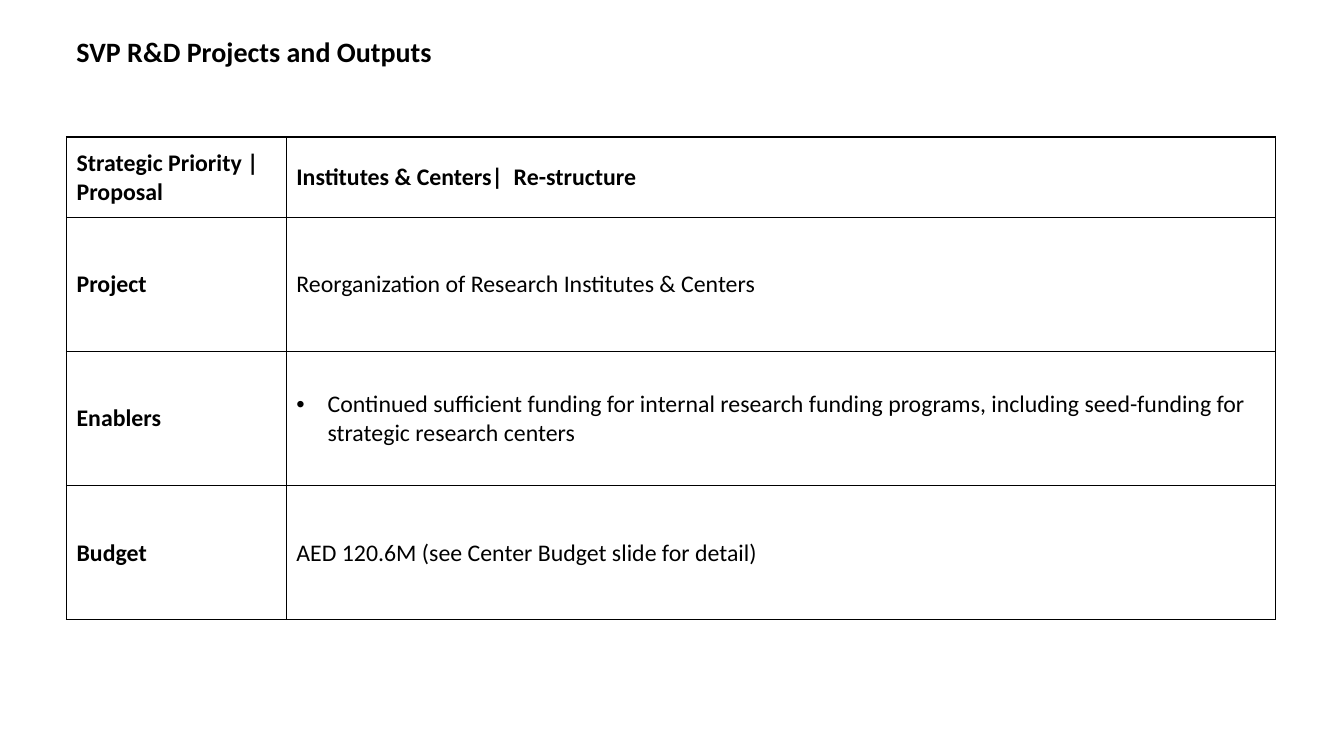
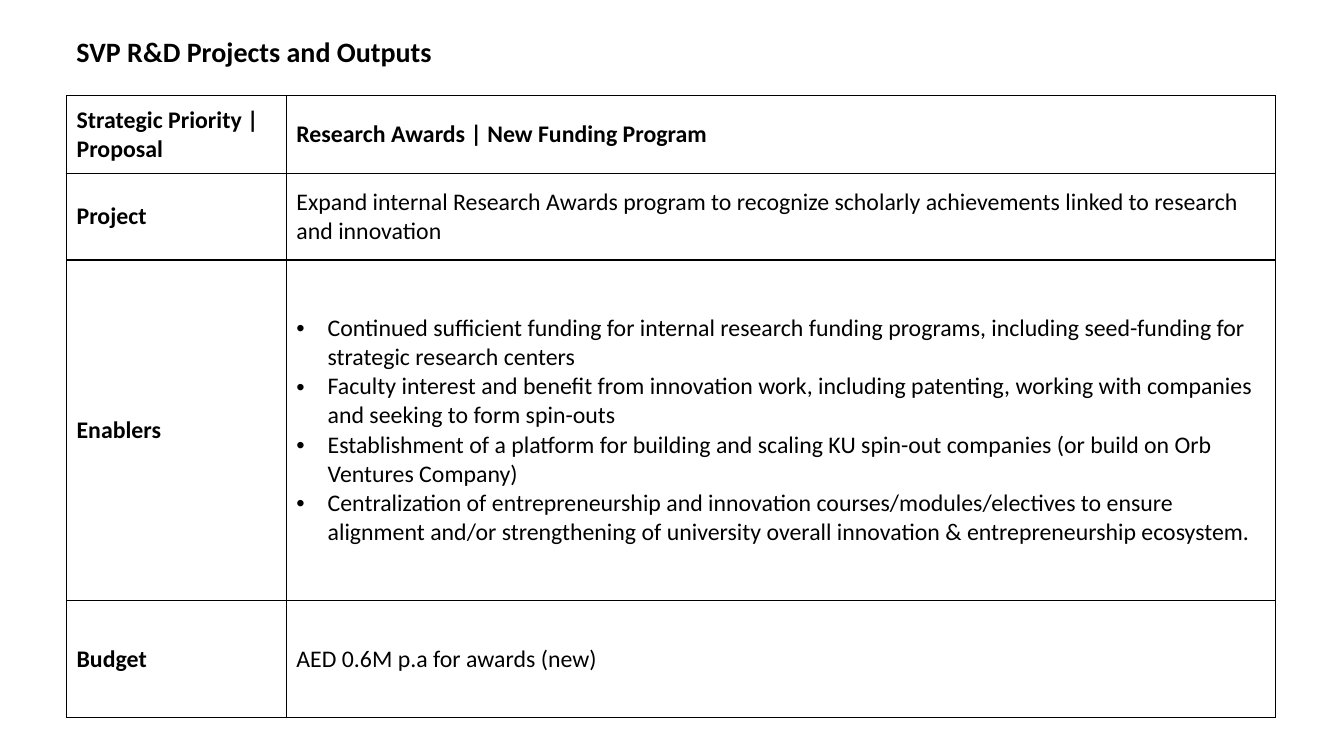
import pptx
import pptx.dml.color
import pptx.enum.text
import pptx.oxml
import pptx.oxml.ns
import pptx.util

PX = 9144
THEME = {
    "ink": "000000",
    "face": "Calibri",
    "title": 20,
    "body": 17,
    "rule": 1,
}
LEFT, WIDTH = 66, 1199
COLS = [218, 981]
INDENT = 31
HEADS = ["Strategic Priority | Proposal", "Project", "Enablers", "Budget"]
TITLE = "SVP R&D Projects and Outputs"
FUNDING = ("Continued sufficient funding for internal research funding programs, "
           "including seed-funding for strategic research centers")

SLIDES = [
    {
        "top": 136,
        "rows": [80, 133, 133, 133],
        "body": [
            "Institutes & Centers|  Re-structure",
            "Reorganization of Research Institutes & Centers",
            [FUNDING],
            "AED 120.6M (see Center Budget slide for detail)",
        ],
    },
    {
        "top": 95,
        "rows": [77, 86, 338, 116],
        "body": [
            "Research Awards | New Funding Program",
            "Expand internal Research Awards program to recognize scholarly "
            "achievements linked to research and innovation",
            [
                FUNDING,
                "Faculty interest and benefit from innovation work, including "
                "patenting, working with companies and seeking to form spin-outs",
                "Establishment of a platform for building and scaling KU spin-out "
                "companies (or build on Orb Ventures Company)",
                "Centralization of entrepreneurship and innovation "
                "courses/modules/electives to ensure alignment and/or strengthening "
                "of university overall innovation & entrepreneurship ecosystem.",
            ],
            "AED 0.6M p.a for awards (new)",
        ],
    },
]


def write(para, text, size, bold):
    run = para.add_run()
    run.text = text
    form = {"name": THEME["face"], "size": pptx.util.Pt(size), "bold": bold}
    for key, val in form.items():
        setattr(run.font, key, val)
    run.font.color.rgb = pptx.dml.color.RGBColor.from_string(THEME["ink"])


def fill_cell(cell, text, bold):
    props = cell._tc.get_or_add_tcPr()
    for side in "LRTB":
        props.append(pptx.oxml.parse_xml(
            f'<a:ln{side} {pptx.oxml.ns.nsdecls("a")} w="{pptx.util.Pt(THEME["rule"])}">'
            f'<a:solidFill><a:srgbClr val="{THEME["ink"]}"/></a:solidFill></a:ln{side}>'))
    cell.fill.background()
    cell.vertical_anchor = pptx.enum.text.MSO_ANCHOR.MIDDLE
    frame = cell.text_frame
    listed = isinstance(text, list)
    for i, line in enumerate(text if listed else [text]):
        para = frame.add_paragraph() if i else frame.paragraphs[0]
        if listed:
            form = para._p.get_or_add_pPr()
            form.set("marL", str(INDENT * PX))
            form.set("indent", str(-INDENT * PX))
            for tag in ('buFont typeface="Arial"', 'buChar char="•"'):
                form.append(pptx.oxml.parse_xml(
                    f'<a:{tag} {pptx.oxml.ns.nsdecls("a")}/>'))
        write(para, line, THEME["body"], bold)


deck = pptx.Presentation()
deck.slide_width, deck.slide_height = 1333 * PX, 750 * PX

for page in SLIDES:
    slide = deck.slides.add_slide(deck.slide_layouts[6])
    box = slide.shapes.add_textbox(LEFT * PX, 29 * PX, WIDTH * PX, 44 * PX)
    frame = box.text_frame
    frame.word_wrap = True
    frame.auto_size = pptx.enum.text.MSO_AUTO_SIZE.SHAPE_TO_FIT_TEXT
    write(frame.paragraphs[0], TITLE, THEME["title"], True)

    rows = page["rows"]
    table = slide.shapes.add_table(
        len(rows), len(COLS), LEFT * PX, page["top"] * PX,
        WIDTH * PX, sum(rows) * PX).table
    for flag in ("first_row", "horz_banding"):
        setattr(table, flag, False)
    for col, wide in zip(table.columns, COLS):
        col.width = wide * PX
    for i, (high, head, body) in enumerate(zip(rows, HEADS, page["body"])):
        table.rows[i].height = high * PX
        fill_cell(table.cell(i, 0), head, True)
        fill_cell(table.cell(i, 1), body, i == 0)

deck.save("out.pptx")
